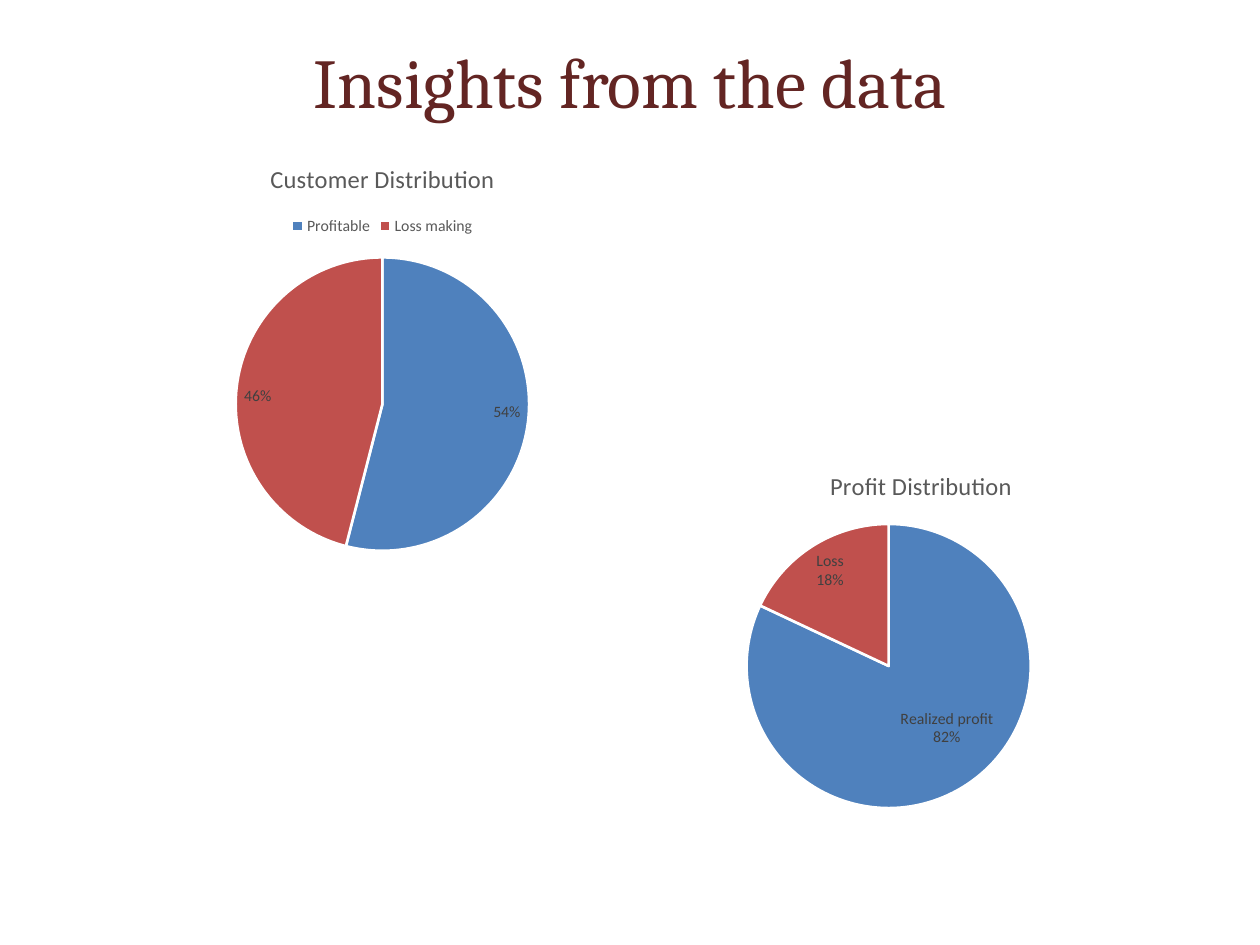
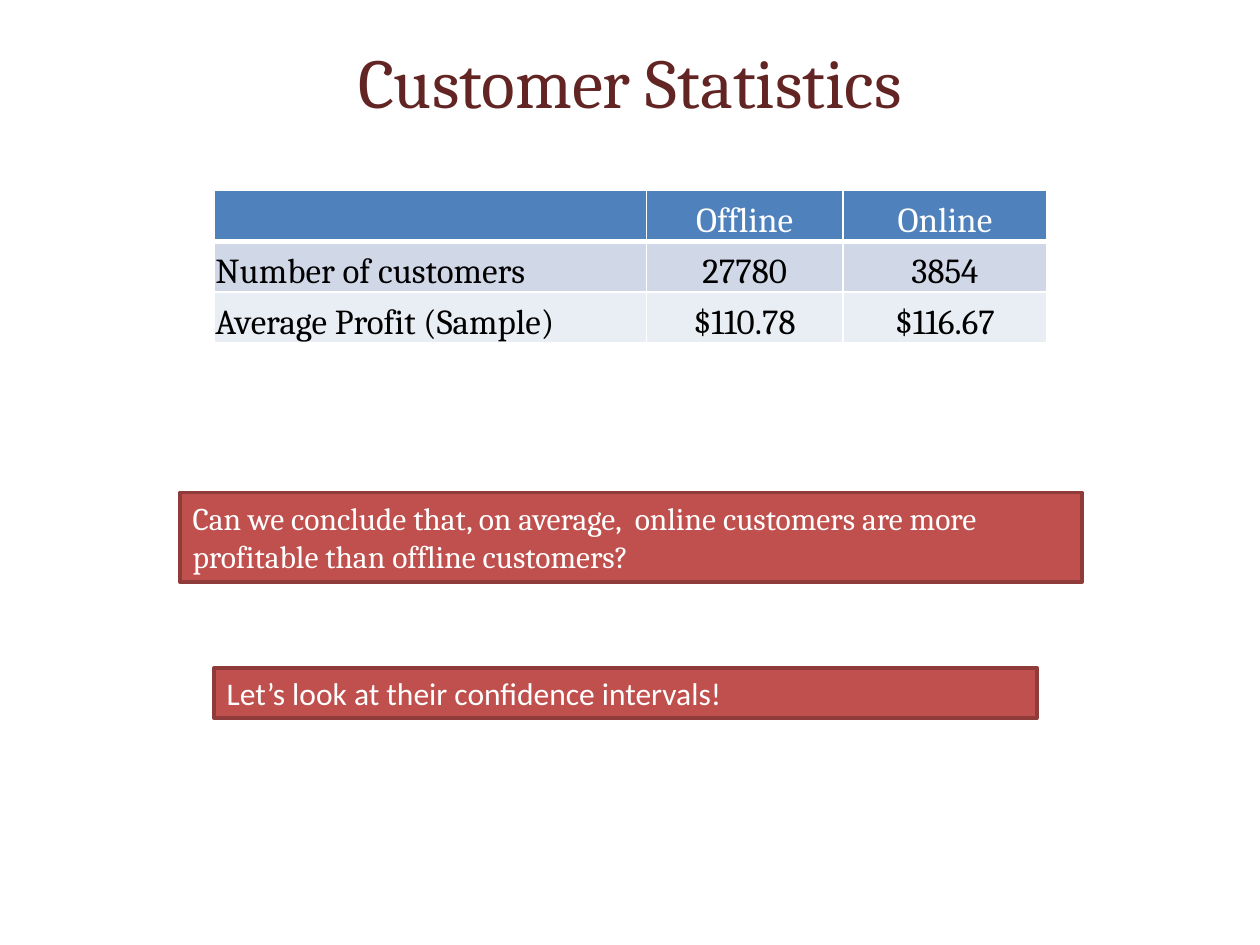
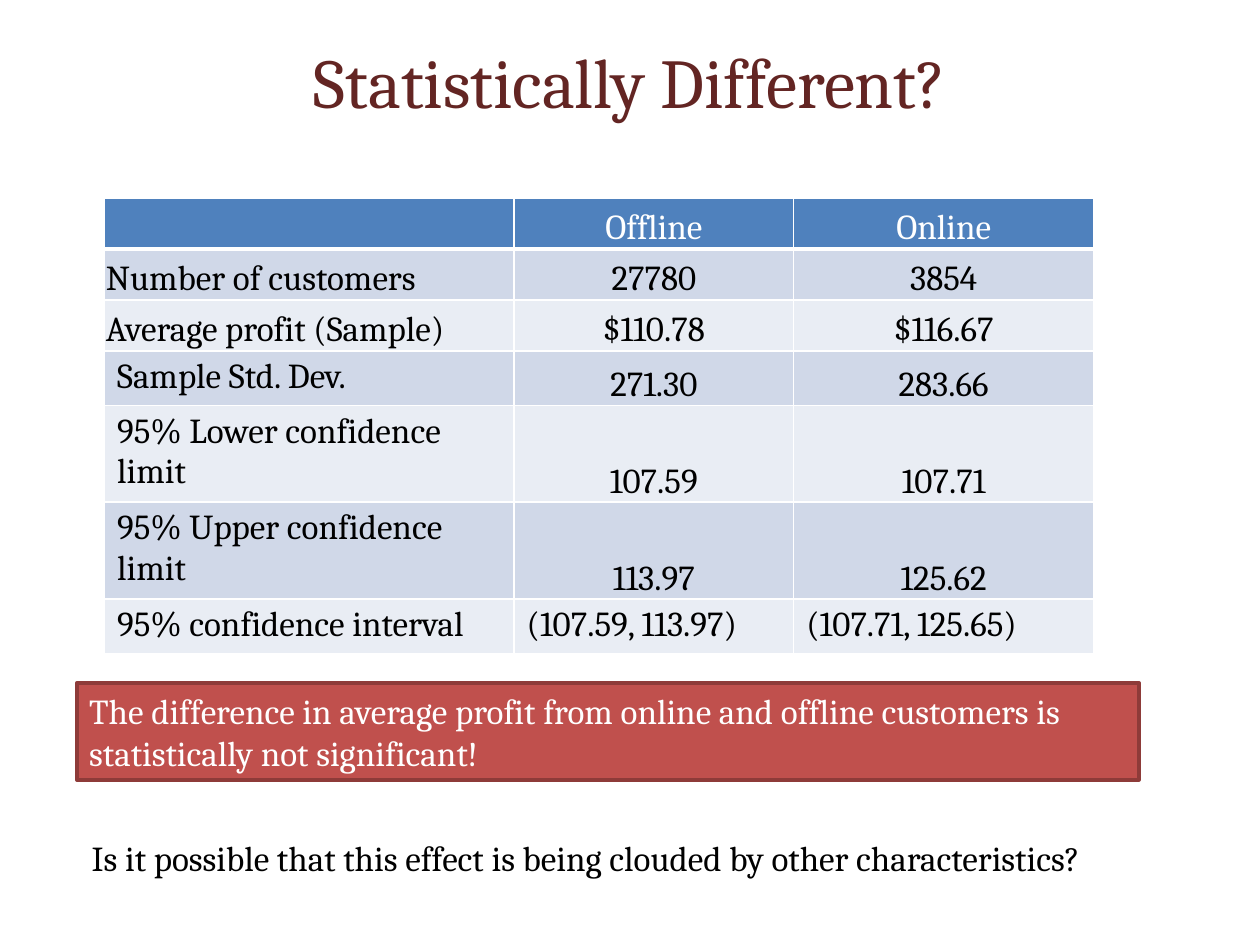
from dataclasses import dataclass

from lxml.etree import SubElement
from pptx import Presentation
from pptx.chart.data import CategoryChartData
from pptx.dml.color import RGBColor
from pptx.enum.chart import XL_CHART_TYPE, XL_LABEL_POSITION, XL_LEGEND_POSITION
from pptx.enum.shapes import MSO_SHAPE
from pptx.enum.text import MSO_ANCHOR, MSO_AUTO_SIZE, PP_ALIGN
from pptx.oxml import parse_xml
from pptx.oxml.ns import nsdecls, qn
from pptx.util import Inches, Pt


@dataclass(frozen=True)
class Theme:
    """Colours, fonts and type sizes shared by the slides."""

    title: str = "632523"
    ink: str = "000000"
    white: str = "FFFFFF"
    blue: str = "4F81BD"
    red: str = "C0504D"
    red_edge: str = "8E3B39"
    band_dark: str = "D0D8E8"
    band_light: str = "E9EDF4"
    chart_text: str = "595959"
    label_text: str = "404040"
    serif: str = "Cambria"
    sans: str = "Calibri"
    title_size: float = 40
    body_size: float = 20
    note_size: float = 18
    chart_title_size: float = 14
    chart_size: float = 10
    label_size: float = 9


THEME = Theme()
GRID_COLUMNS, GRID_ROWS = 100, 75
SLIDE_WIDTH, SLIDE_HEIGHT = Inches(10), Inches(7.5)


def across(columns):
    """Return the width of a number of grid columns."""
    return round(SLIDE_WIDTH * columns / GRID_COLUMNS)


def down(rows):
    """Return the height of a number of grid rows."""
    return round(SLIDE_HEIGHT * rows / GRID_ROWS)


def place(column, row, columns, rows):
    """Return left, top, width and height of a grid area."""
    return across(column), down(row), across(columns), down(rows)


def style_font(font, size, color, name=THEME.serif):
    """Set the size, colour and typeface of a font."""
    font.size, font.name, font.bold = Pt(size), name, False
    font.color.rgb = RGBColor.from_string(color)


def fill_solid(fill, color):
    """Give a fill one plain colour."""
    fill.solid()
    fill.fore_color.rgb = RGBColor.from_string(color)


def write(text_frame, text, size, color, name=THEME.serif, align=PP_ALIGN.LEFT):
    """Write one styled paragraph."""
    text_frame.text = text
    text_frame.word_wrap = True
    paragraph = text_frame.paragraphs[0]
    paragraph.alignment = align
    for run in paragraph.runs:
        style_font(run.font, size, color, name)


def add_titled_slide(presentation, title):
    """Add a blank slide with the shared title."""
    slide = presentation.slides.add_slide(presentation.slide_layouts[6])
    text_frame = slide.shapes.add_textbox(*place(5, 3, 90, 6.8)).text_frame
    write(text_frame, title, THEME.title_size, THEME.title, align=PP_ALIGN.CENTER)
    text_frame.vertical_anchor = MSO_ANCHOR.MIDDLE
    return slide


def add_callout(slide, area, text, size, name=THEME.serif):
    """Add a red box with a white message."""
    shape = slide.shapes.add_shape(MSO_SHAPE.RECTANGLE, *place(*area))
    shape.shadow.inherit = False
    fill_solid(shape.fill, THEME.red)
    shape.line.color.rgb = RGBColor.from_string(THEME.red_edge)
    shape.line.width = Pt(2)
    write(shape.text_frame, text, size, THEME.white, name)
    shape.text_frame.vertical_anchor = MSO_ANCHOR.TOP
    shape.text_frame.auto_size = MSO_AUTO_SIZE.SHAPE_TO_FIT_TEXT


def add_question(slide, area, text):
    """Add a plain closing question."""
    text_frame = slide.shapes.add_textbox(*place(*area)).text_frame
    write(text_frame, text, THEME.body_size, THEME.ink)
    text_frame.auto_size = MSO_AUTO_SIZE.SHAPE_TO_FIT_TEXT


def border_cell(cell, row):
    """Draw white cell borders, thick on both sides of the header rule."""
    widths = {"L": 1, "R": 1, "T": 3 if row == 1 else 1, "B": 3 if row == 0 else 1}
    properties = cell._tc.get_or_add_tcPr()
    for index, (side, width) in enumerate(widths.items()):
        line = parse_xml(
            f'<a:ln{side} {nsdecls("a")} w="{Pt(width)}"><a:solidFill>'
            f'<a:srgbClr val="{THEME.white}"/></a:solidFill></a:ln{side}>'
        )
        properties.insert(index, line)


def style_cell(cell, text, row, column, loose):
    """Write a table cell with its band, borders and margins."""
    bands = (THEME.band_light, THEME.band_dark)
    fill_solid(cell.fill, bands[row % 2] if row else THEME.blue)
    border_cell(cell, row)
    if not loose:
        cell.margin_left = cell.margin_right = cell.margin_top = Inches(0.01)
        cell.margin_bottom = 0
        cell.vertical_anchor = MSO_ANCHOR.BOTTOM
    if text:
        align = PP_ALIGN.LEFT if loose or column == 0 else PP_ALIGN.CENTER
        color = THEME.ink if row else THEME.white
        write(cell.text_frame, text, THEME.body_size, color, align=align)


def add_statistics_table(slide, corner, widths, heights, rows, loose_cells=()):
    """Add a banded table of customer figures."""
    area = place(*corner, sum(widths), sum(heights))
    table = slide.shapes.add_table(len(rows), len(widths), *area).table
    for column, width in enumerate(widths):
        table.columns[column].width = across(width)
    for row, texts in enumerate(rows):
        table.rows[row].height = down(heights[row])
        for column, text in enumerate(texts):
            loose = (row, column) in loose_cells
            style_cell(table.cell(row, column), text, row, column, loose)


def add_pie(slide, area, title, shares):
    """Add a two-slice pie chart with percentage labels."""
    data = CategoryChartData()
    data.categories = list(shares)
    data.add_series("Series 1", shares.values())
    chart = slide.shapes.add_chart(XL_CHART_TYPE.PIE, *place(*area), data).chart
    style_font(chart.font, THEME.chart_size, THEME.ink, THEME.sans)
    chart.has_legend = False
    chart.has_title = True
    write(chart.chart_title.text_frame, title, THEME.chart_title_size,
          THEME.chart_text, THEME.sans, PP_ALIGN.CENTER)
    chart.chart_title.include_in_layout = False
    plot = chart.plots[0]
    plot.vary_by_categories = True
    series = plot.series[0]
    for index, color in enumerate((THEME.blue, THEME.red)):
        slice_format = series.points[index].format
        fill_solid(slice_format.fill, color)
        slice_format.line.color.rgb = RGBColor.from_string(THEME.white)
        slice_format.line.width = Pt(1.5)
    labels = series.data_labels
    labels.show_value, labels.show_percentage = False, True
    labels.number_format, labels.number_format_is_linked = "0%", False
    labels.position = XL_LABEL_POSITION.INSIDE_END
    style_font(labels.font, THEME.label_size, THEME.label_text, THEME.sans)
    return chart


def add_top_legend(chart):
    """Show the legend between the chart title and the pie."""
    chart.has_legend = True
    chart.legend.position = XL_LEGEND_POSITION.TOP
    chart.legend.include_in_layout = False
    style_font(chart.legend.font, THEME.label_size, THEME.chart_text, THEME.sans)


def manual_layout(**settings):
    """Build a manual chart layout from its settings."""
    layout = parse_xml(f'<c:layout {nsdecls("c")}><c:manualLayout/></c:layout>')
    for name, value in settings.items():
        SubElement(layout[0], qn(f"c:{name}")).set("val", str(value))
    return layout


def place_pie(chart, x, y, w, h):
    """Fix the plot area as shares of the chart."""
    plot_area = chart._chartSpace.chart.plotArea
    for layout in plot_area.findall(qn("c:layout")):
        plot_area.remove(layout)
    plot_area.insert(0, manual_layout(
        layoutTarget="inner", xMode="edge", yMode="edge", x=x, y=y, w=w, h=h))


def name_slices(chart, shift_x, shift_y):
    """Put category names above percentages and shift the first label."""
    series = chart.plots[0].series[0]
    series.data_labels.show_category_name = True
    label = series.points[0].data_label
    style_font(label.font, THEME.label_size, THEME.label_text, THEME.sans)
    label.position = XL_LABEL_POSITION.INSIDE_END
    group = series.data_labels._element
    single = group.find(qn("c:dLbl"))
    single.find(qn("c:idx")).addnext(manual_layout(x=shift_x, y=shift_y))
    for name, shown in (("showVal", 0), ("showCatName", 1), ("showPercent", 1)):
        single.find(qn(f"c:{name}")).set("val", str(shown))
    for element in (group, single):
        separator = parse_xml(f'<c:separator {nsdecls("c")}>\n</c:separator>')
        element.find(qn("c:showBubbleSize")).addnext(separator)


def build_insights(presentation):
    """Build the slide with the two pie charts."""
    slide = add_titled_slide(presentation, "Insights from the data")
    customers = add_pie(slide, (5, 11.3, 50.7, 33.8), "Customer Distribution",
                        {"Profitable": 54, "Loss making": 46})
    add_top_legend(customers)
    profit = add_pie(slide, (47.4, 35.7, 51.4, 32.7), "Profit Distribution",
                     {"Realized profit": 82, "Loss": 18})
    place_pie(profit, 0.23, 0.18, 0.44, 0.69)
    name_slices(profit, 0.05, -0.08)


def build_statistics(presentation):
    """Build the slide that compares the two customer groups."""
    slide = add_titled_slide(presentation, "Customer Statistics")
    add_statistics_table(slide, (17, 15.1), (34.3, 15.6, 16.2), [4.05] * 3, [
        ("", "Offline", "Online"),
        ("Number of customers", "27780", "3854"),
        ("Average Profit (Sample)", "$110.78", "$116.67"),
    ])
    add_callout(slide, (14.3, 39.1, 71.6, 7.1),
                "Can we conclude that, on average,  online customers are more "
                "profitable than offline customers?", THEME.note_size)
    add_callout(slide, (17, 53, 65.3, 4),
                "Let’s look at their confidence intervals!",
                THEME.note_size, THEME.sans)


def build_intervals(presentation):
    """Build the slide with the confidence intervals."""
    slide = add_titled_slide(presentation, "Statistically Different?")
    rows = [
        ("", "Offline", "Online"),
        ("Number of customers", "27780", "3854"),
        ("Average profit (Sample)", "$110.78", "$116.67"),
        ("Sample Std. Dev.", "271.30", "283.66"),
        ("95% Lower confidence limit", "107.59", "107.71"),
        ("95% Upper confidence limit", "113.97", "125.62"),
        ("95% confidence interval", "(107.59, 113.97)", "(107.71, 125.65)"),
    ]
    last = len(rows) - 1
    loose_cells = {(row, 0) for row in range(3, last)}
    loose_cells |= {(last, column) for column in range(3)}
    heights = [4.05] * 3 + [4.1, 7.4, 7.4, 4.1]
    add_statistics_table(slide, (8.3, 15.7), (32.5, 22.2, 23.8), heights, rows,
                         loose_cells)
    add_callout(slide, (6.1, 54.2, 84.3, 7.7),
                "The difference in average profit from online and offline "
                "customers is statistically not significant!", THEME.body_size)
    add_question(slide, (6.3, 65.9, 84.3, 4.4),
                 "Is it possible that this effect is being clouded by other "
                 "characteristics?")


def main():
    """Build and save the presentation."""
    presentation = Presentation()
    presentation.slide_width, presentation.slide_height = SLIDE_WIDTH, SLIDE_HEIGHT
    build_insights(presentation)
    build_statistics(presentation)
    build_intervals(presentation)
    presentation.save("out.pptx")


if __name__ == "__main__":
    main()
